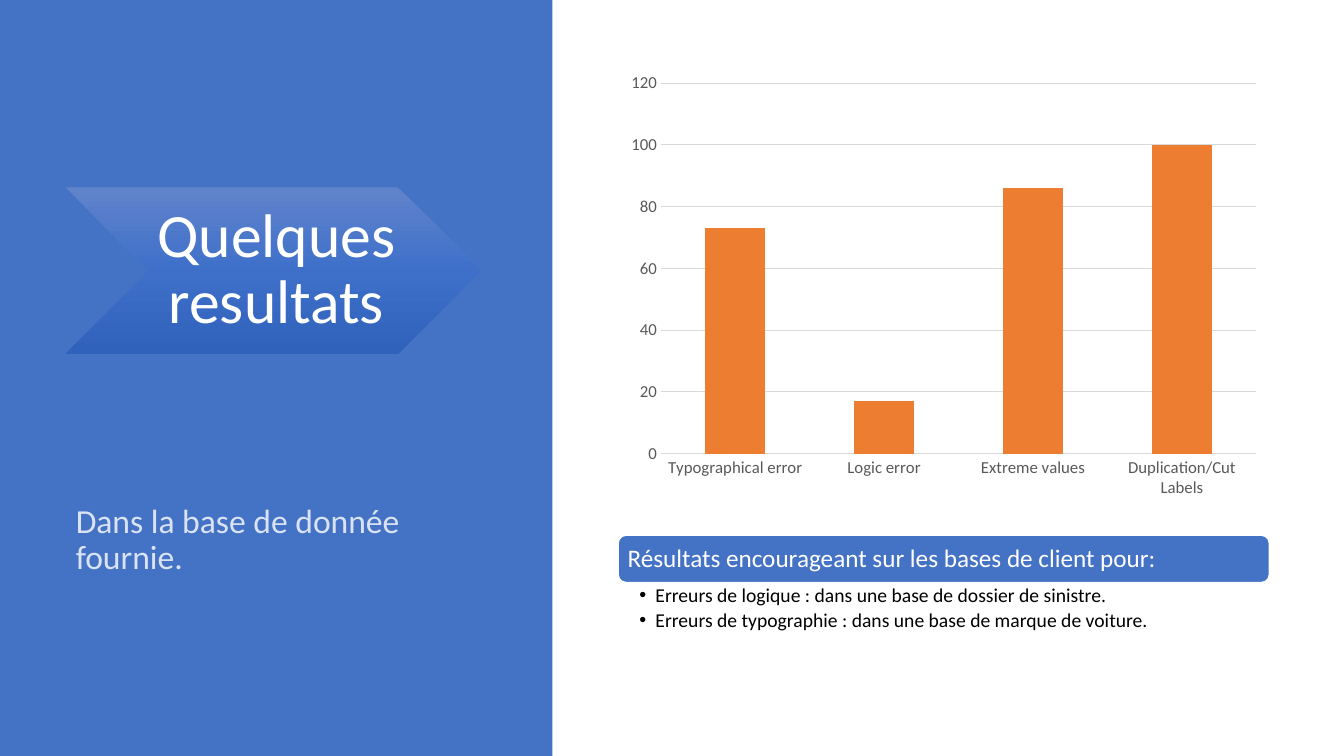
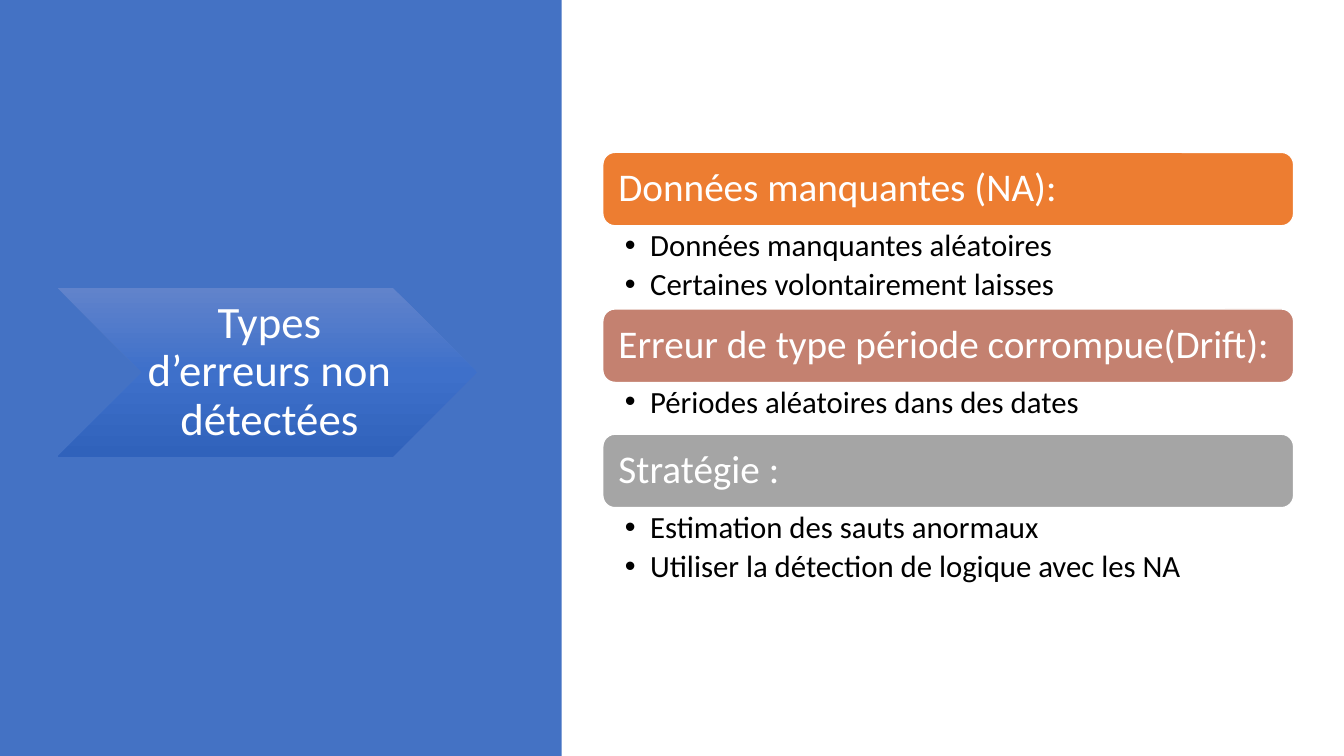
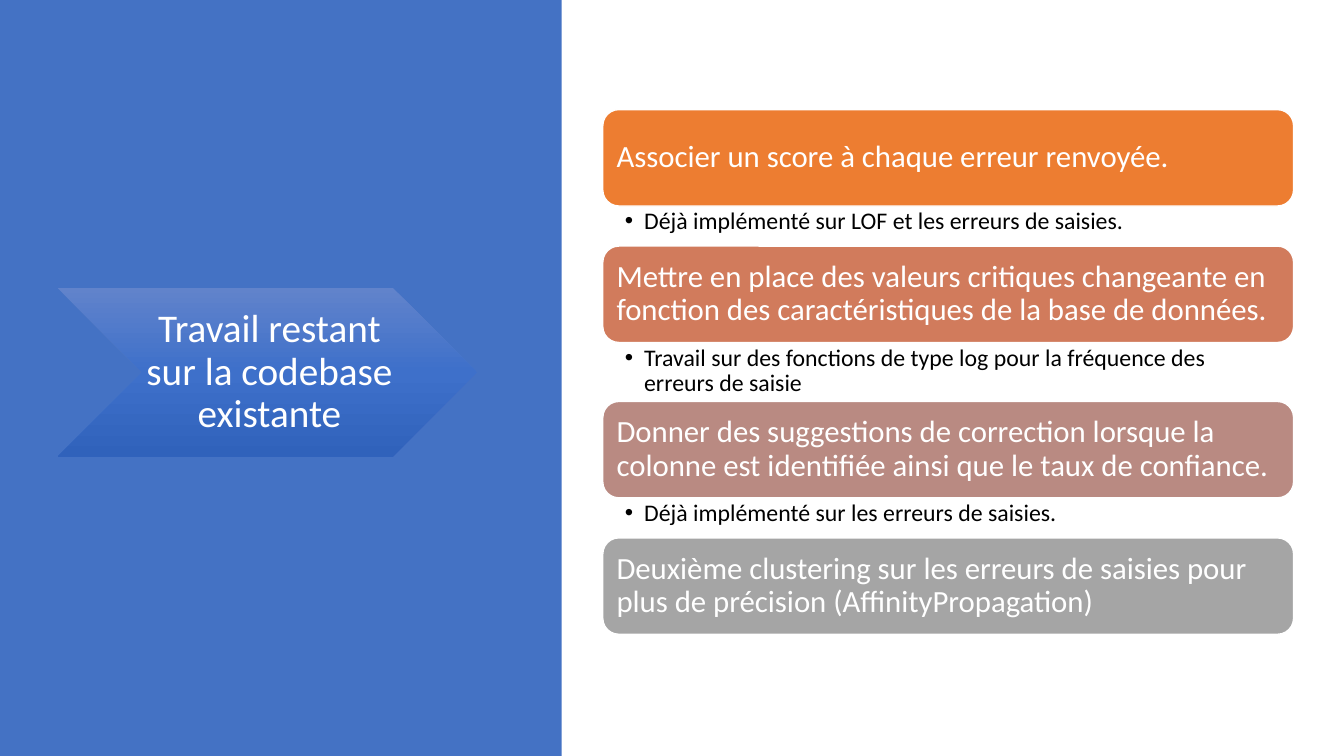
"""Build three slides on error detection results, gaps and remaining work."""
from copy import deepcopy

from pptx import Presentation
from pptx import util as u
from pptx.chart import data as chart_data
from pptx.dml.color import RGBColor
from pptx.enum import chart as charts, shapes, text
from pptx.oxml import ns, xmlchemy

FONT = "Calibri"
COLORS = {name: RGBColor.from_string(code) for name, code in {
    "blue": "4472C4", "orange": "ED7D31", "grey": "A5A5A5", "white": "FFFFFF",
    "black": "000000", "pale": "DAE3F3", "label": "595959", "grid": "D9D9D9",
    "clay": "C48170", "terracotta": "D17B5C", "rose": "B98A82",
    "arrow_top": "6183CB", "arrow_middle": "3E70CA", "arrow_bottom": "3062BB",
}.items()}
ARROW_STOPS = [(0, "arrow_top"), (0.5, "arrow_middle"), (1, "arrow_bottom")]

deck = Presentation()
deck.slide_width, deck.slide_height = u.Inches(13.333), u.Inches(7.5)
COL, ROW = deck.slide_width / 100, deck.slide_height / 100


def place(left, top, width, height):
    """Turn columns and rows into slide lengths."""
    return [round(n * step) for n, step in zip((left, top, width, height), (COL, ROW, COL, ROW))]


def write(shape, lines, size, color, insets, anchor=text.MSO_ANCHOR.MIDDLE,
          align=text.PP_ALIGN.LEFT, indent=None):
    """Fill a shape with paragraphs, bulleted when an indent is given."""
    frame = shape.text_frame
    frame.word_wrap = True
    frame.vertical_anchor = anchor
    (frame.margin_left, frame.margin_top,
     frame.margin_right, frame.margin_bottom) = [u.Inches(inset) for inset in insets]
    for number, line in enumerate(lines):
        paragraph = frame.add_paragraph() if number else frame.paragraphs[0]
        paragraph.alignment = align
        paragraph.line_spacing = 0.9
        run = paragraph.add_run()
        run.text = line
        run.font.name, run.font.size = FONT, u.Pt(size)
        run.font.color.rgb = COLORS[color]
        if indent:
            paragraph.space_after = u.Pt(size * 0.2)
            properties = paragraph._p.get_or_add_pPr()
            properties.set("marL", str(u.Inches(indent)))
            properties.set("indent", str(-u.Inches(indent)))
            bullet_font = xmlchemy.OxmlElement("a:buFont")
            bullet_font.set("typeface", "Arial")
            bullet = xmlchemy.OxmlElement("a:buChar")
            bullet.set("char", "•")
            properties.extend([bullet_font, bullet])


pages = [
    dict(title="Quelques resultats", title_size=44, title_insets=(0.06, 0.03, 0, 0.03),
         panel=41.1, arrow=(4.9, 24.8, 30.9, 22),
         left=46, width=48.45, top=70.8, head=6.25, head_size=18, head_inset=0.07,
         point_size=14, point_insets=(0.21, 0.03, 0.14, 0.03), indent=0.16,
         sections=[
             ("blue", "Résultats encourageant sur les bases de client pour:", 7.1,
              ["Erreurs de logique : dans une base de dossier de sinistre.",
               "Erreurs de typographie : dans une base de marque de voiture."])]),
    dict(title="Types d’erreurs non détectées", title_size=32, title_insets=(0.04, 0.02, 0, 0.02),
         panel=41.8, arrow=(4.3, 38.1, 31.2, 22.3),
         left=44.85, width=51.4, top=20.15, head=9.72, head_size=28, head_inset=0.12,
         point_size=22, point_insets=(0.22, 0.04, 0.22, 0.04), indent=0.25,
         sections=[
             ("orange", "Données manquantes (NA):", 11,
              ["Données manquantes aléatoires", "Certaines volontairement laisses"]),
             ("clay", "Erreur de type période corrompue(Drift):", 6.85,
              ["Périodes aléatoires dans des dates"]),
             ("grey", "Stratégie :", 11,
              ["Estimation des sauts anormaux",
               "Utiliser la détection de logique avec les NA"])]),
    dict(title="Travail restant sur la codebase existante", title_size=28,
         title_insets=(0.04, 0.02, 0, 0.02), panel=41.8, arrow=(4.3, 38.1, 31.2, 22.3),
         left=44.85, width=51.4, top=14.5, head=12.75, head_size=22, head_inset=0.09,
         point_size=17, point_insets=(0.22, 0.03, 0.17, 0.03), indent=0.19,
         sections=[
             ("orange", "Associer un score à chaque erreur renvoyée.", 5.3,
              ["Déjà implémenté sur LOF et les erreurs de saisies."]),
             ("terracotta", "Mettre en place des valeurs critiques changeante en fonction "
              "des caractéristiques de la base de données.", 7.8,
              ["Travail sur des fonctions de type log pour la fréquence des erreurs de saisie"]),
             ("rose", "Donner des suggestions de correction lorsque la colonne est "
              "identifiée ainsi que le taux de confiance.", 5.3,
              ["Déjà implémenté sur les erreurs de saisies."]),
             ("grey", "Deuxième clustering sur les erreurs de saisies pour plus de "
              "précision (AffinityPropagation)", 0, [])]),
]

for page in pages:
    slide = deck.slides.add_slide(deck.slide_layouts[6])
    panel = slide.shapes.add_shape(shapes.MSO_SHAPE.RECTANGLE, *place(0, 0, page["panel"], 100))
    panel.shadow.inherit = False
    panel.fill.solid()
    panel.fill.fore_color.rgb = COLORS["blue"]
    panel.line.fill.background()

    arrow = slide.shapes.add_shape(shapes.MSO_SHAPE.CHEVRON, *place(*page["arrow"]))
    arrow.shadow.inherit = False
    arrow.line.fill.background()
    arrow.fill.gradient()
    arrow.fill.gradient_angle = 270
    stop_list = arrow._element.spPr.find(".//" + ns.qn("a:gsLst"))
    stop_list.append(deepcopy(stop_list[-1]))
    for stop, (position, color) in zip(arrow.fill.gradient_stops, ARROW_STOPS):
        stop.position = position
        stop.color.rgb = COLORS[color]
    write(arrow, [page["title"]], page["title_size"], "white", page["title_insets"],
          align=text.PP_ALIGN.CENTER)

    top = page["top"]
    for color, heading, depth, points in page["sections"]:
        header = slide.shapes.add_shape(shapes.MSO_SHAPE.ROUNDED_RECTANGLE,
                                        *place(page["left"], top, page["width"], page["head"]))
        header.shadow.inherit = False
        header.fill.solid()
        header.fill.fore_color.rgb = COLORS[color]
        header.line.color.rgb = COLORS["white"]
        header.line.width = u.Pt(1)
        write(header, [heading], page["head_size"], "white", [page["head_inset"]] * 4)
        top += page["head"]
        if points:
            details = slide.shapes.add_textbox(*place(page["left"], top, page["width"], depth))
            write(details, points, page["point_size"], "black", page["point_insets"],
                  anchor=text.MSO_ANCHOR.TOP, indent=page["indent"])
            top += depth

results = deck.slides[0]
subtitle = results.shapes.add_textbox(*place(4.9, 66.1, 30.9, 10.9))
write(subtitle, ["Dans la base de donnée fournie."], 24, "pale", (0.1, 0.05, 0.1, 0.05),
      anchor=text.MSO_ANCHOR.TOP)

scores = chart_data.CategoryChartData()
scores.categories = ["Typographical error", "Logic error", "Extreme values",
                     "Duplication/Cut Labels"]
scores.add_series("Series 1", [73, 17, 86, 100])
chart = results.shapes.add_chart(charts.XL_CHART_TYPE.COLUMN_STACKED,
                                 *place(46, 8.5, 48.45, 58.5), scores).chart
chart.has_title = chart.has_legend = False
chart.font.name, chart.font.size = FONT, u.Pt(12)
chart.font.color.rgb = COLORS["label"]
bars = chart.plots[0]
bars.gap_width, bars.overlap, bars.vary_by_categories = 150, 100, False
bars.series[0].format.fill.solid()
bars.series[0].format.fill.fore_color.rgb = COLORS["orange"]
for axis in (chart.category_axis, chart.value_axis):
    axis.major_tick_mark = axis.minor_tick_mark = charts.XL_TICK_MARK.NONE
chart.value_axis.minimum_scale, chart.value_axis.maximum_scale = 0, 120
chart.value_axis.major_unit = 20
chart.value_axis.format.line.fill.background()
for rule in (chart.category_axis.format.line, chart.value_axis.major_gridlines.format.line):
    rule.color.rgb = COLORS["grid"]
    rule.width = u.Pt(0.75)

deck.save("out.pptx")
